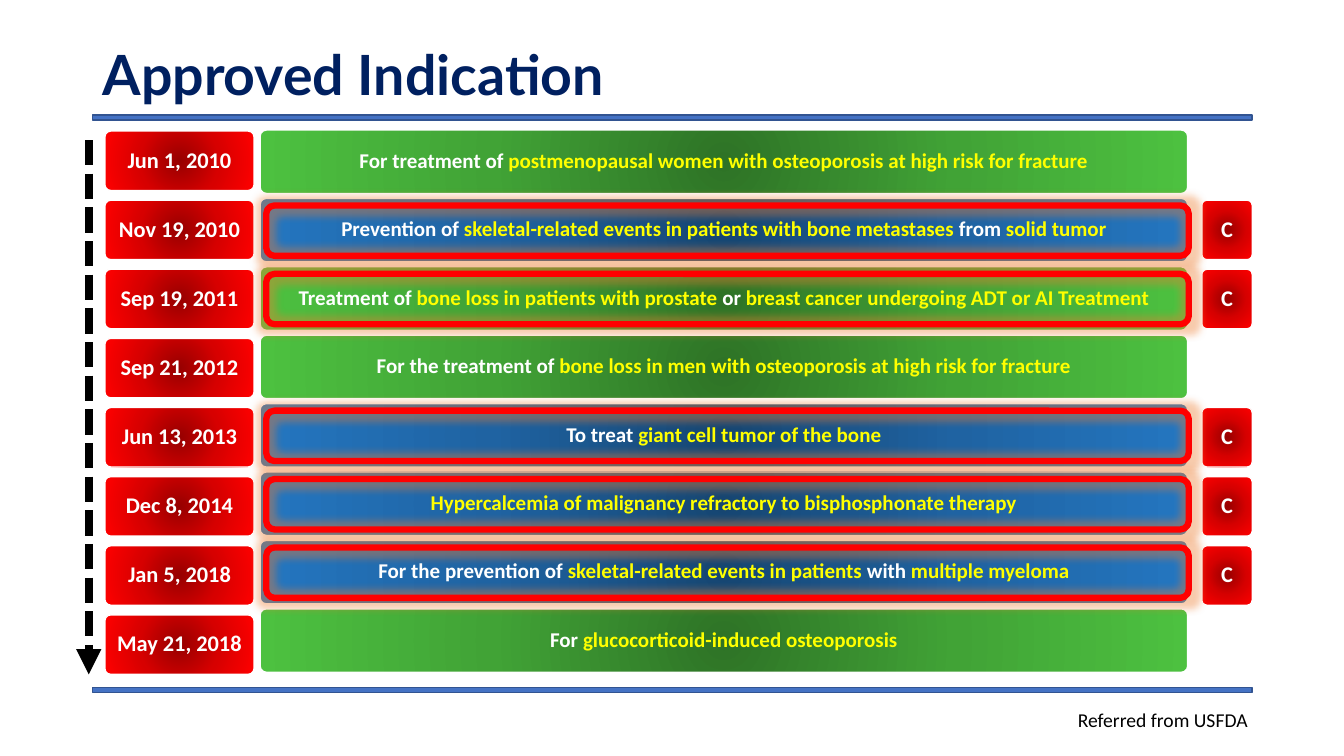
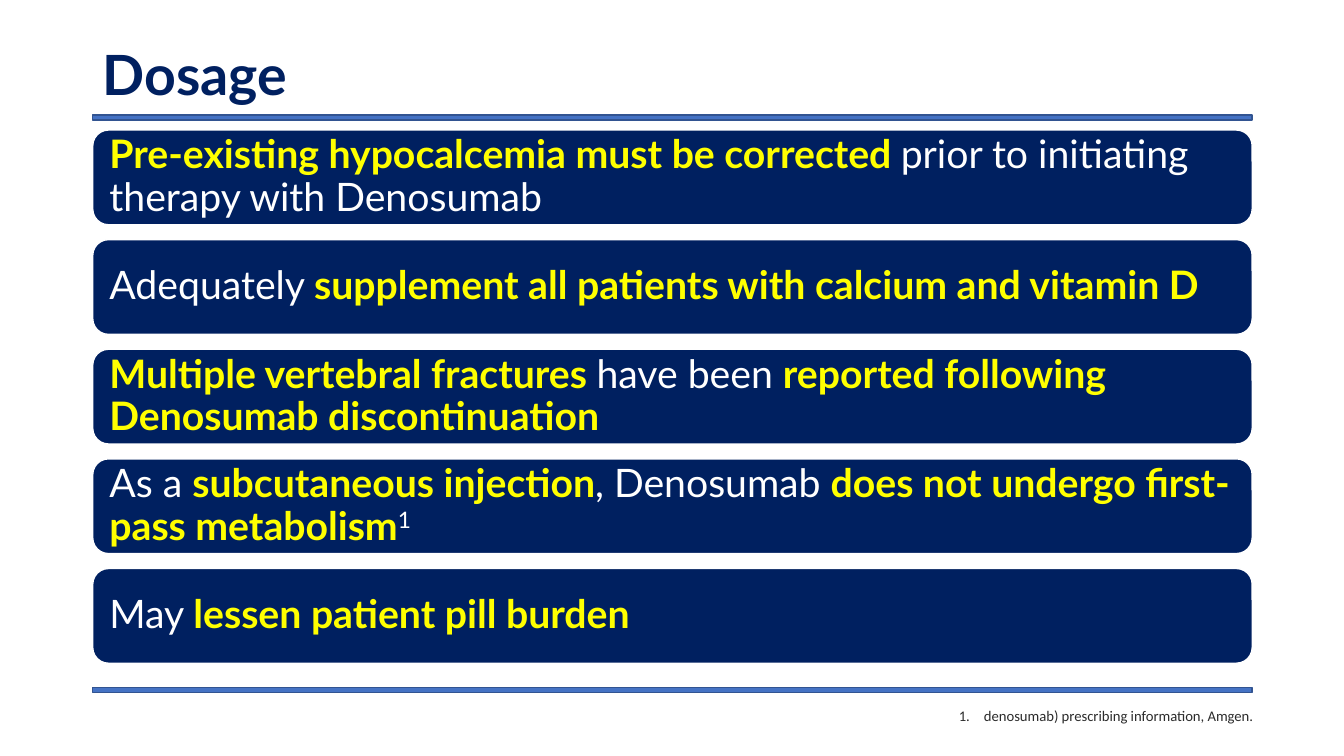
from dataclasses import dataclass

from pptx import Presentation
from pptx.dml.color import RGBColor as RGB
from pptx.enum.dml import MSO_LINE as Dash
from pptx.enum.shapes import MSO_CONNECTOR as Connector, MSO_SHAPE as Preset
from pptx.enum.text import MSO_ANCHOR as Anchor, PP_ALIGN as Align
from pptx.oxml import parse_xml
from pptx.oxml.ns import nsdecls
from pptx.util import Inches, Pt


@dataclass(frozen=True)
class Theme:
    navy: str = "002060"
    white: str = "FFFFFF"
    yellow: str = "FFFF00"
    red: str = "FF0000"
    black: str = "000000"
    note_grey: str = "2B2B2B"
    rule_fill: str = "4472C4"
    rule_line: str = "325491"
    glow: str = "ED7D31"
    green_shades: tuple = ("2E7326", "41A336", "4DC140")
    blue_shades: tuple = ("164672", "1F63A2", "2476C0")
    red_shades: tuple = ("970000", "D70000", "FF0000")
    heading_font: str = "Lato"
    body_font: str = "Calibri"
    title_size: float = 39.6
    dosage_size: float = 28
    date_size: float = 16
    indication_size: float = 15
    source_size: float = 14
    footnote_size: float = 10.5


@dataclass(frozen=True)
class Box:
    left: float
    top: float
    width: float
    height: float

    def inches(self):
        return [Inches(n) for n in (self.left, self.top, self.width, self.height)]

    def rows(self, count, height):
        pitch = (self.height - height) / (count - 1)
        return [Box(self.left, self.top + i * pitch, self.width, height)
                for i in range(count)]


THEME = Theme()

TITLE = Box(0.92, 0.4, 11.5, 0.74)
RULES = (Box(0.92, 1.14, 11.5, 0.05), Box(0.92, 6.82, 11.5, 0.05))

TIMELINE = [
    ("Jun 1, 2010", "For treatment of *postmenopausal women with osteoporosis at high risk for fracture*", "green", False),
    ("Nov 19, 2010", "Prevention of *skeletal-related events in patients with bone metastases *from *solid tumor*", "blue", True),
    ("Sep 19, 2011", "Treatment of *bone loss in patients with prostate *or *breast cancer undergoing ADT or AI Treatment*", "green", True),
    ("Sep 21, 2012", "For the treatment of *bone loss in men with osteoporosis at high risk for fracture*", "green", False),
    ("Jun 13, 2013", "To treat *giant cell tumor of the bone*", "blue", True),
    ("Dec 8, 2014", "*Hypercalcemia of malignancy refractory to bisphosphonate therapy*", "blue", True),
    ("Jan 5, 2018", "For the prevention of *skeletal-related events in patients *with *multiple myeloma*", "blue", True),
    ("May 21, 2018", "For *glucocorticoid-induced osteoporosis*", "green", False),
]

DOSAGE_POINTS = [
    "*Pre-existing hypocalcemia must be corrected *prior to initiating therapy with Denosumab",
    "Adequately *supplement all patients with calcium and vitamin D*",
    "*Multiple vertebral fractures *have been *reported following Denosumab discontinuation*",
    "As a *subcutaneous injection*, Denosumab *does not undergo first-pass metabolism*^1",
    "May *lessen patient pill burden*",
]


def apply(target, values):
    for name, value in values.items():
        setattr(target, name, value)


def add_run(paragraph, text, color, baseline=None, **font):
    run = paragraph.add_run()
    run.text = text
    apply(run.font, font)
    run.font.color.rgb = RGB.from_string(color)
    if baseline:
        run._r.get_or_add_rPr().set("baseline", str(baseline))


def write(shape, text, color, name, size, bold=False, inset=None,
          align=Align.LEFT, anchor=Anchor.MIDDLE, spacing=0.9):
    frame = shape.text_frame
    apply(frame, {"word_wrap": True, "vertical_anchor": anchor})
    if inset is not None:
        sides = ("left", "top", "right", "bottom")
        apply(frame, {f"margin_{side}": Inches(inset) for side in sides})
    paragraph = frame.paragraphs[0]
    apply(paragraph, {"alignment": align, "line_spacing": spacing})
    for i, part in enumerate(text.split("*")):
        marked = i % 2 == 1
        plain, _, raised = part.partition("^")
        style = {"name": name, "size": Pt(size), "bold": bold or marked}
        shade = THEME.yellow if marked else color
        if plain:
            add_run(paragraph, plain, shade, **style)
        if raised:
            add_run(paragraph, raised, shade, baseline=30000, **style)
    return paragraph


def fill_radial(shape, shades):
    stops = "".join(
        f'<a:gs pos="{i * 50000}"><a:srgbClr val="{shade}"/></a:gs>'
        for i, shade in enumerate(shades))
    gradient = parse_xml(
        f'<a:gradFill {nsdecls("a")} rotWithShape="1"><a:gsLst>{stops}</a:gsLst>'
        '<a:path path="circle"><a:fillToRect l="50000" t="50000" r="50000" b="50000"/>'
        '</a:path></a:gradFill>')
    shape._element.spPr.prstGeom.addnext(gradient)


def add_block(slide, box, fill, line, weight=1, preset=Preset.ROUNDED_RECTANGLE, corner=None):
    block = slide.shapes.add_shape(preset, *box.inches())
    if corner is not None:
        block.adjustments[0] = corner
    if fill is None:
        block.fill.background()
    elif isinstance(fill, tuple):
        fill_radial(block, fill)
    else:
        block.fill.solid()
        block.fill.fore_color.rgb = RGB.from_string(fill)
    block.line.color.rgb = RGB.from_string(line)
    block.line.width = Pt(weight)
    block.shadow.inherit = False
    return block


def add_base(prs, title):
    slide = prs.slides.add_slide(prs.slide_layouts[6])
    for rule in RULES:
        add_block(slide, rule, THEME.rule_fill, THEME.rule_line, preset=Preset.RECTANGLE)
    heading = slide.shapes.add_textbox(*TITLE.inches())
    write(heading, title, THEME.navy, THEME.heading_font, THEME.title_size, bold=True)
    return slide


def add_footer(slide, box, text, color, size):
    footer = slide.shapes.add_textbox(*box.inches())
    return write(footer, text, color, THEME.body_font, size,
                 align=Align.RIGHT, anchor=Anchor.TOP, spacing=1.0)


def add_indications(slide, area):
    shades = {"green": THEME.green_shades, "blue": THEME.blue_shades}
    for row, (_, text, tone, _) in zip(area.rows(len(TIMELINE), 0.63), TIMELINE):
        bar = add_block(slide, row, shades[tone], THEME.white, corner=0.1)
        write(bar, text, THEME.white, THEME.body_font, THEME.indication_size,
              bold=True, inset=0.07, align=Align.CENTER)


def add_tags(slide, area, labels):
    for row, label in zip(area.rows(len(labels), 0.59), labels):
        if label:
            tag = add_block(slide, row, THEME.red_shades, THEME.white, corner=0.1)
            write(tag, label, THEME.white, THEME.body_font, THEME.date_size,
                  bold=True, inset=0.07, align=Align.CENTER)


def add_time_arrow(slide, area):
    x = Inches(area.left)
    arrow = slide.shapes.add_connector(
        Connector.STRAIGHT, x, Inches(area.top), x, Inches(area.top + area.height))
    arrow.line.color.rgb = RGB.from_string(THEME.black)
    apply(arrow.line, {"width": Pt(6), "dash_style": Dash.SQUARE_DOT})
    arrow.line._get_or_add_ln().append(
        parse_xml(f'<a:tailEnd {nsdecls("a")} type="triangle"/>'))
    arrow._element.spPr.append(parse_xml(f'<a:effectLst {nsdecls("a")}/>'))


def add_cancer_frames(slide, area):
    for row, (_, _, _, cancer) in zip(area.rows(len(TIMELINE), 0.63), TIMELINE):
        if cancer:
            outline = Box(row.left + 0.06, row.top + 0.07, row.width - 0.05, 0.5)
            frame = add_block(slide, outline, None, THEME.red, weight=4.5)
            frame._element.spPr.effectLst.append(parse_xml(
                f'<a:glow {nsdecls("a")} rad="{Pt(11)}"><a:srgbClr val="{THEME.glow}">'
                '<a:alpha val="40000"/></a:srgbClr></a:glow>'))


def build_indication_slide(prs):
    slide = add_base(prs, "Approved Indication")
    indications = Box(2.58, 1.29, 9.2, 5.38)
    add_indications(slide, indications)
    add_tags(slide, Box(1.04, 1.3, 1.48, 5.39), [date for date, *_ in TIMELINE])
    add_time_arrow(slide, Box(0.88, 1.39, 0, 5.3))
    add_tags(slide, Box(11.92, 1.3, 0.5, 5.39),
             ["C" if cancer else "" for *_, cancer in TIMELINE])
    add_cancer_frames(slide, indications)
    add_footer(slide, Box(9.65, 6.97, 2.87, 0.34), "Referred from USFDA ",
               THEME.black, THEME.source_size)


def add_dosage_points(slide, area):
    for row, point in zip(area.rows(len(DOSAGE_POINTS), 0.94), DOSAGE_POINTS):
        card = add_block(slide, row, THEME.navy, THEME.white)
        write(card, point, THEME.white, THEME.heading_font, THEME.dosage_size, inset=0.12)


def build_dosage_slide(prs):
    slide = add_base(prs, "Dosage")
    add_dosage_points(slide, Box(0.92, 1.29, 11.5, 5.29))
    reference = add_footer(slide, Box(5.86, 6.96, 6.67, 0.28),
                           "denosumab) prescribing information, Amgen.",
                           THEME.note_grey, THEME.footnote_size)
    properties = reference._p.get_or_add_pPr()
    properties.set("marL", str(Inches(0.25)))
    properties.set("indent", str(-Inches(0.25)))
    properties.append(parse_xml(f'<a:buFont {nsdecls("a")} typeface="+mj-lt"/>'))
    properties.append(parse_xml(f'<a:buAutoNum {nsdecls("a")} type="arabicPeriod"/>'))


def main():
    prs = Presentation()
    apply(prs, {"slide_width": Inches(13.33), "slide_height": Inches(7.5)})
    build_indication_slide(prs)
    build_dosage_slide(prs)
    prs.save("out.pptx")


if __name__ == "__main__":
    main()
